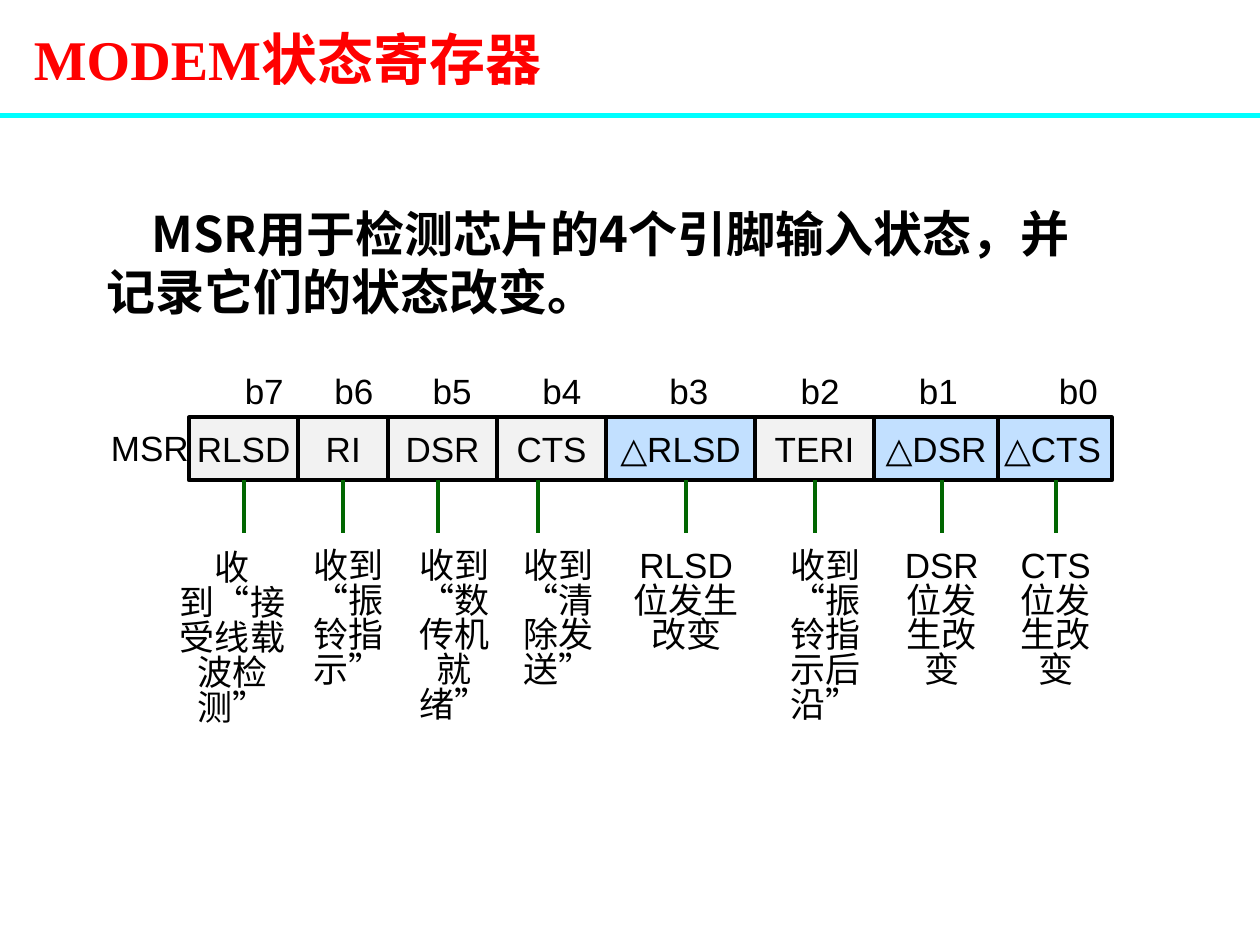
from dataclasses import dataclass

from lxml.etree import SubElement
from pptx import Presentation
from pptx.dml.color import RGBColor
from pptx.enum.shapes import MSO_CONNECTOR, MSO_SHAPE
from pptx.enum.text import MSO_ANCHOR, MSO_AUTO_SIZE, PP_ALIGN
from pptx.oxml.ns import qn
from pptx.util import Pt

BLACK = RGBColor(0x00, 0x00, 0x00)
RED = RGBColor(0xFF, 0x00, 0x00)
CYAN = RGBColor(0x00, 0xFF, 0xFF)
GREEN = RGBColor(0x00, 0x66, 0x00)
GREY = RGBColor(0xF2, 0xF2, 0xF2)
BLUE = RGBColor(0xC2, 0xE0, 0xFF)

ARIAL = "Arial"
CJK = "Noto Sans CJK SC"
TIMES = "Times New Roman"

CELL_TOP, CELL_HEIGHT = 238.5, 36
STEM_BOTTOM = 304.5
LABEL_TOP, LABEL_WIDTH, LABEL_HEIGHT = 211.7, 40, 34.5
NOTE_TOP = 313.2


@dataclass
class Bit:
    name: str
    left: float
    width: float
    fill: RGBColor
    label_left: float
    stem: float
    note: str
    note_left: float
    note_width: float
    note_height: float = 72
    note_drop: float = 0


BITS = [
    Bit("RLSD", 108, 62.6, GREY, 131, 138.2, "收到“接受线载波检测”", 97.2, 71.3, note_drop=1.5),
    Bit("RI", 170.6, 51.1, GREY, 182.2, 196.2, "收到 “振铃指示”", 172.8, 53.3),
    Bit("DSR", 221.7, 62.4, GREY, 238.3, 250.4, "收到 “数传机就绪”", 232.6, 54, 93.6),
    Bit("CTS", 284, 62.4, GREY, 301, 307.6, "收到 “清除发送”", 289.4, 59.8),
    Bit("△RLSD", 346.4, 85, BLUE, 373.7, 391.8, "RLSD位发生改变", 358.6, 67, 93.6),
    Bit("TERI", 431.4, 68.2, GREY, 448.6, 466.3, "收到 “振铃指示后沿”", 442, 59.8, 93.6),
    Bit("△DSR", 499.6, 70.6, BLUE, 516.2, 538.3, "DSR位发生改变", 508.3, 59.8),
    Bit("△CTS", 567.6, 67.8, BLUE, 596.2, 603.4, "CTS位发生改变", 573.1, 60.5),
]


def format_text(tf, font: str, size: float, color: RGBColor = BLACK, bold: bool = False) -> None:
    for p in tf.paragraphs:
        for r in p.runs:
            r.font.name, r.font.size, r.font.bold = font, Pt(size), bold
            r.font.color.rgb = color
            SubElement(r.font._element, qn("a:ea")).set("typeface", CJK)


def set_margins(tf, left: float, top: float, right: float, bottom: float) -> None:
    tf.margin_left, tf.margin_top = Pt(left), Pt(top)
    tf.margin_right, tf.margin_bottom = Pt(right), Pt(bottom)


def add_caption(slide, text: str, left: float, top: float, width: float, height: float,
                spacing: float, font: str = ARIAL) -> None:
    """Add a small centred text box with exact line spacing."""
    tf = slide.shapes.add_textbox(Pt(left), Pt(top), Pt(width), Pt(height)).text_frame
    tf.word_wrap = True
    set_margins(tf, 2.9, 1.4, 2.9, 2.9)
    tf.text = text
    p = tf.paragraphs[0]
    p.alignment, p.line_spacing = PP_ALIGN.CENTER, Pt(spacing)
    format_text(tf, font, 20)


def add_line(slide, x1: float, y1: float, x2: float, y2: float, color: RGBColor, width: float):
    line = slide.shapes.add_connector(MSO_CONNECTOR.STRAIGHT, Pt(x1), Pt(y1), Pt(x2), Pt(y2))
    line.line.color.rgb, line.line.width = color, Pt(width)
    SubElement(line._element.spPr, qn("a:effectLst"))
    return line


def add_cell(slide, bit: Bit):
    sp = slide.shapes.add_shape(MSO_SHAPE.RECTANGLE, Pt(bit.left), Pt(CELL_TOP),
                                Pt(bit.width), Pt(CELL_HEIGHT))
    sp.shadow.inherit = False
    sp.fill.solid()
    sp.fill.fore_color.rgb = bit.fill
    sp.line.color.rgb, sp.line.width = BLACK, Pt(2.25)
    tf = sp.text_frame
    tf.word_wrap, tf.vertical_anchor = False, MSO_ANCHOR.MIDDLE
    tf.text = bit.name
    tf.paragraphs[0].alignment = PP_ALIGN.CENTER
    format_text(tf, ARIAL, 20)
    return sp


def add_bit(slide, bit: Bit) -> None:
    """Draw one register bit: cell, number, stem and note."""
    cell = add_cell(slide, bit)
    center = bit.left + bit.width / 2
    centred = abs(bit.stem - center) < 1.2
    x = center if centred else bit.stem
    stem = add_line(slide, x, CELL_TOP + CELL_HEIGHT, x, STEM_BOTTOM, GREEN, 2.25)
    if centred:
        stem.begin_connect(cell, 2)
    number = len(BITS) - 1 - BITS.index(bit)
    add_caption(slide, f"b{number}", bit.label_left, LABEL_TOP, LABEL_WIDTH, LABEL_HEIGHT, 22.1)
    add_caption(slide, bit.note, bit.note_left, NOTE_TOP + bit.note_drop, bit.note_width,
                bit.note_height, 19.9, ARIAL if bit.note[0].isascii() else CJK)


def add_title(slide, text: str) -> None:
    title = slide.shapes.title
    title.left, title.top, title.width, title.height = Pt(12.2), Pt(0), Pt(707.8), Pt(66.2)
    tf = title.text_frame
    tf.text = text
    tf.auto_size, tf.vertical_anchor = MSO_AUTO_SIZE.NONE, MSO_ANCHOR.MIDDLE
    tf.paragraphs[0].alignment = PP_ALIGN.LEFT
    format_text(tf, TIMES, 32, RED, bold=True)


def add_intro(slide, text: str) -> None:
    tf = slide.shapes.add_textbox(Pt(54), Pt(111.6), Pt(584.6), Pt(74.9)).text_frame
    tf.word_wrap = True
    set_margins(tf, 7.2, 5.6, 7.2, 3.6)
    tf.text = text
    p = tf.paragraphs[0]
    p.line_spacing = Pt(33)
    p._p.get_or_add_pPr().set("indent", str(Pt(25.6)))
    format_text(tf, CJK, 28, bold=True)


def main() -> None:
    prs = Presentation()
    prs.slide_width, prs.slide_height = Pt(720), Pt(540)
    slide = prs.slides.add_slide(prs.slide_layouts[5])
    add_line(slide, 0, 66.2, 720, 66.2, CYAN, 3)
    add_title(slide, "MODEM状态寄存器")
    add_intro(slide, "MSR用于检测芯片的4个引脚输入状态，并记录它们的状态改变。")
    add_caption(slide, "MSR", 51.8, 244.1, 67.7, LABEL_HEIGHT, 22.1)
    for bit in reversed(BITS):
        add_bit(slide, bit)
    prs.save("out.pptx")


if __name__ == "__main__":
    main()
